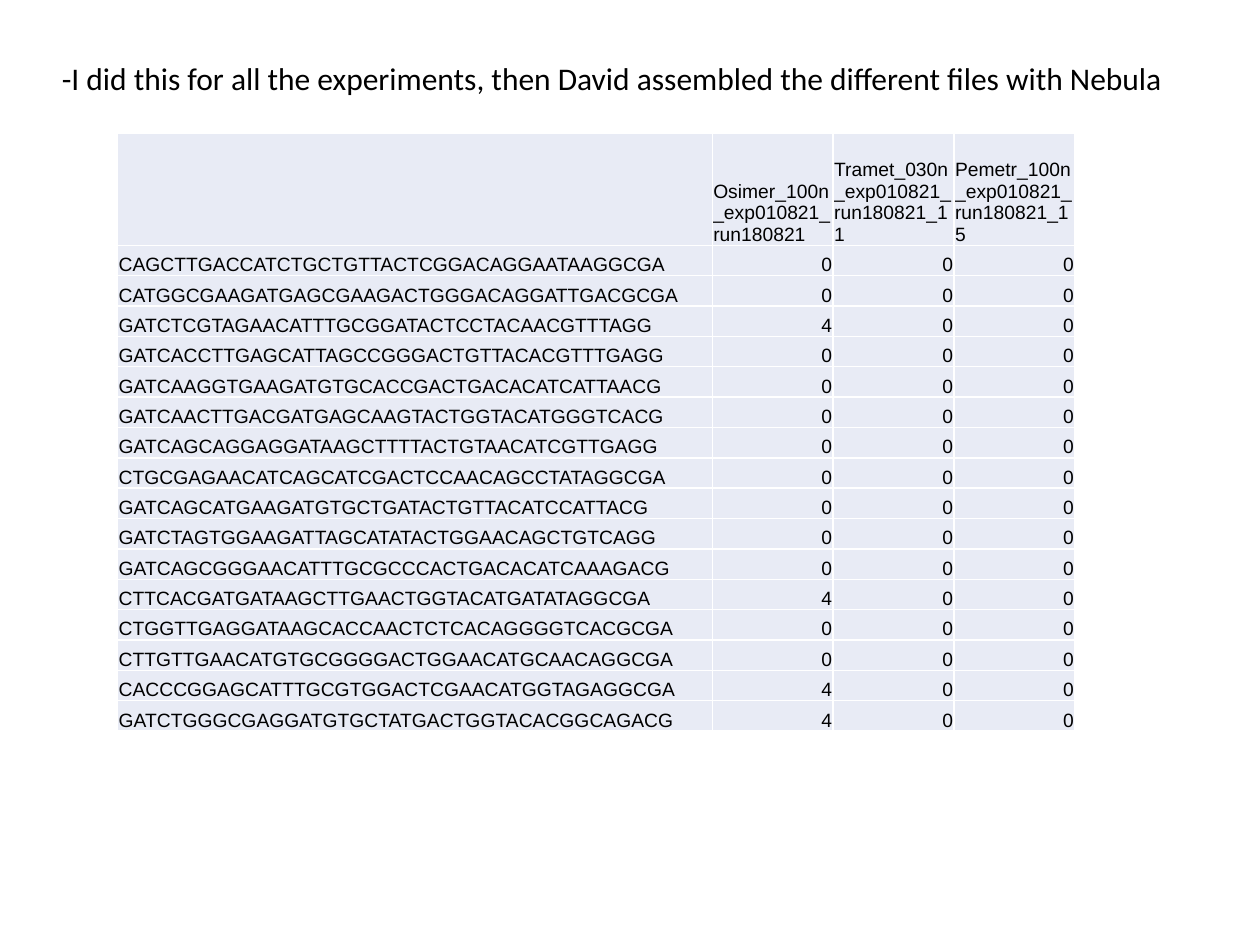
from dataclasses import dataclass

from lxml import etree
from pptx import Presentation
from pptx.dml.color import RGBColor
from pptx.enum.text import MSO_ANCHOR, MSO_AUTO_SIZE, PP_ALIGN
from pptx.oxml.ns import qn
from pptx.util import Pt

TOP, BOTTOM = MSO_ANCHOR.TOP, MSO_ANCHOR.BOTTOM
LEFT, RIGHT = PP_ALIGN.LEFT, PP_ALIGN.RIGHT
NO_AUTOFIT = MSO_AUTO_SIZE.NONE
TITLE_ONLY = 5


@dataclass(frozen=True)
class Theme:
    text: str = "000000"
    cell: str = "E8EBF5"
    border: str = "FFFFFF"
    title_font: str = "Calibri"
    table_font: str = "Arial"
    title_size: float = 18
    table_size: float = 11
    border_width: float = 1


theme = Theme()

runs = [
    "Osimer_100n_exp010821_run180821",
    "Tramet_030n_exp010821_run180821_11",
    "Pemetr_100n_exp010821_run180821_15",
]
counts = [
    ("CAGCTTGACCATCTGCTGTTACTCGGACAGGAATAAGGCGA", 0, 0, 0),
    ("CATGGCGAAGATGAGCGAAGACTGGGACAGGATTGACGCGA", 0, 0, 0),
    ("GATCTCGTAGAACATTTGCGGATACTCCTACAACGTTTAGG", 4, 0, 0),
    ("GATCACCTTGAGCATTAGCCGGGACTGTTACACGTTTGAGG", 0, 0, 0),
    ("GATCAAGGTGAAGATGTGCACCGACTGACACATCATTAACG", 0, 0, 0),
    ("GATCAACTTGACGATGAGCAAGTACTGGTACATGGGTCACG", 0, 0, 0),
    ("GATCAGCAGGAGGATAAGCTTTTACTGTAACATCGTTGAGG", 0, 0, 0),
    ("CTGCGAGAACATCAGCATCGACTCCAACAGCCTATAGGCGA", 0, 0, 0),
    ("GATCAGCATGAAGATGTGCTGATACTGTTACATCCATTACG", 0, 0, 0),
    ("GATCTAGTGGAAGATTAGCATATACTGGAACAGCTGTCAGG", 0, 0, 0),
    ("GATCAGCGGGAACATTTGCGCCCACTGACACATCAAAGACG", 0, 0, 0),
    ("CTTCACGATGATAAGCTTGAACTGGTACATGATATAGGCGA", 4, 0, 0),
    ("CTGGTTGAGGATAAGCACCAACTCTCACAGGGGTCACGCGA", 0, 0, 0),
    ("CTTGTTGAACATGTGCGGGGACTGGAACATGCAACAGGCGA", 0, 0, 0),
    ("CACCCGGAGCATTTGCGTGGACTCGAACATGGTAGAGGCGA", 4, 0, 0),
    ("GATCTGGGCGAGGATGTGCTATGACTGGTACACGGCAGACG", 4, 0, 0),
]
rows = [("", *runs), *counts]


def style_paragraph(paragraph, font_name, size, alignment):
    paragraph.alignment = alignment
    paragraph.font.name = font_name
    paragraph.font.size = Pt(size)
    paragraph.font.color.rgb = RGBColor.from_string(theme.text)


def add_borders(cell):
    """Draw all four sides; call before setting the fill, which must follow in the XML."""
    properties = cell._tc.get_or_add_tcPr()
    for side in ("a:lnL", "a:lnR", "a:lnT", "a:lnB"):
        line = etree.SubElement(properties, qn(side), w=str(Pt(theme.border_width)))
        fill = etree.SubElement(line, qn("a:solidFill"))
        etree.SubElement(fill, qn("a:srgbClr"), val=theme.border)


presentation = Presentation()
presentation.slide_width = Pt(720)
presentation.slide_height = Pt(540)
slide = presentation.slides.add_slide(presentation.slide_layouts[TITLE_ONLY])

# Title
title = slide.shapes.title
title.left, title.top, title.width, title.height = Pt(28.1), Pt(19.4), Pt(683.3), Pt(36.7)
title_frame = title.text_frame
title_frame.text = "-I did this for all the experiments, then David assembled the different files with Nebula"
title_frame.word_wrap = True
title_frame.auto_size = NO_AUTOFIT
title_frame.vertical_anchor = TOP
title_paragraph = title_frame.paragraphs[0]
title_paragraph.line_spacing = 1.5
style_paragraph(title_paragraph, theme.title_font, theme.title_size, LEFT)

# Sequence counts
column_widths = [339.8] + [69.1] * len(runs)
row_heights = [64] + [17.37] * len(counts)
table = slide.shapes.add_table(
    len(rows), len(column_widths),
    Pt(67.2), Pt(76.2), Pt(sum(column_widths)), Pt(sum(row_heights)),
).table
for column, width in zip(table.columns, column_widths):
    column.width = Pt(width)
for row, height in zip(table.rows, row_heights):
    row.height = Pt(height)

for row_index, values in enumerate(rows):
    for column_index, value in enumerate(values):
        cell = table.cell(row_index, column_index)
        cell.text = str(value)
        cell.vertical_anchor = BOTTOM
        cell.margin_left = cell.margin_right = cell.margin_top = Pt(0.6)
        cell.margin_bottom = Pt(0)
        add_borders(cell)
        cell.fill.solid()
        cell.fill.fore_color.rgb = RGBColor.from_string(theme.cell)
        paragraph = cell.text_frame.paragraphs[0]
        alignment = RIGHT if isinstance(value, int) else LEFT
        style_paragraph(paragraph, theme.table_font, theme.table_size, alignment)
        paragraph.font.bold = False

presentation.save("out.pptx")
